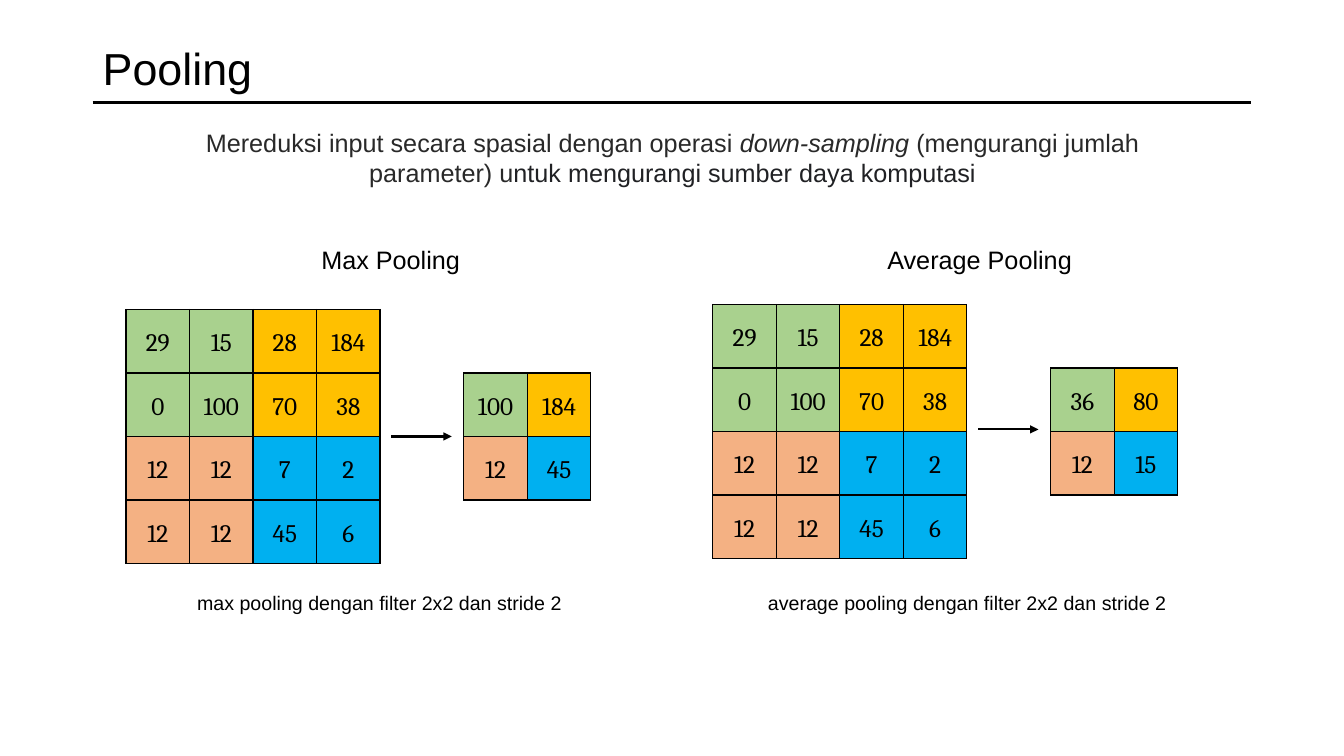
"""Builds a slide that compares max pooling with average pooling."""
from lxml import etree
from pptx import Presentation
from pptx.dml.color import RGBColor
from pptx.enum.shapes import MSO_CONNECTOR
from pptx.enum.text import MSO_ANCHOR, PP_ALIGN
from pptx.oxml.ns import qn
from pptx.util import Inches, Pt

STRAIGHT = MSO_CONNECTOR.STRAIGHT
TOP, MIDDLE = MSO_ANCHOR.TOP, MSO_ANCHOR.MIDDLE
LEFT, CENTER = PP_ALIGN.LEFT, PP_ALIGN.CENTER

WIDTH, HEIGHT = 13.33, 7.5
BLACK = "000000"
TITLE = [("Pooling", False, BLACK)]
SUMMARY = [
    ("Mereduksi input secara spasial dengan operasi\u00a0", False, "292929"),
    ("down-sampling ", True, "292929"),
    ("(mengurangi jumlah parameter) u", False, "292929"),
    ("ntuk mengurangi sumber daya komputasi", False, "202124"),
]
FEATURES = [
    [29, 15, 28, 184],
    [0, 100, 70, 38],
    [12, 12, 7, 2],
    [12, 12, 45, 6],
]
REGION_COLORS = [["A9D18E", "FFC000"], ["F4B183", "00B0F0"]]
STRIDE = 2


def mean(values):
    """Return the whole-number average."""
    return sum(values) // len(values)


POOLINGS = [
    {"heading": "Max Pooling", "heading_box": (3.08, 1.59),
     "caption": "max pooling dengan filter 2x2 dan stride 2",
     "caption_box": (1.85, 3.83),
     "reduce": max, "left": 1.25, "top": 3.07, "arrow_y": 4.33},
    {"heading": "Average Pooling", "heading_box": (8.69, 2.05),
     "caption": "average pooling dengan filter 2x2 dan stride 2",
     "caption_box": (7.51, 4.17),
     "reduce": mean, "left": 7.07, "top": 3.02, "arrow_y": 4.26},
]

CELL = 0.63
GRID = CELL * len(FEATURES)
ARROW_GAP, ARROW_LENGTH = 0.11, 0.6
RESULT_OFFSET = 3.35
MARGIN, RULE_Y = 0.92, 1.02
HEADING_Y, CAPTION_Y = 2.37, 5.81


def rgb(color):
    """Turn a hex string into a colour."""
    return RGBColor.from_string(color)


def add_runs(paragraph, runs, size, font="Arial"):
    """Add (text, italic, colour) runs to a paragraph."""
    for text, italic, color in runs:
        run = paragraph.add_run()
        run.text = text
        run.font.size = Pt(size)
        run.font.name = font
        run.font.italic = italic
        run.font.color.rgb = rgb(color)


def add_text(slide, box, runs, size, align=CENTER, anchor=TOP, wrap=False, spacing=1.0):
    """Add a one-paragraph text box."""
    frame = slide.shapes.add_textbox(*map(Inches, box)).text_frame
    frame.word_wrap = wrap
    frame.vertical_anchor = anchor
    paragraph = frame.paragraphs[0]
    paragraph.alignment = align
    paragraph.line_spacing = spacing
    add_runs(paragraph, runs, size)


def add_line(slide, start, end, y, weight, arrow=False):
    """Draw a level line, with an arrowhead if asked."""
    line = slide.shapes.add_connector(
        STRAIGHT, Inches(start), Inches(y), Inches(end), Inches(y))
    line.line.color.rgb = rgb(BLACK)
    line.line.width = Pt(weight)
    if arrow:
        etree.SubElement(line.line._get_or_add_ln(), qn("a:tailEnd"), type="triangle")
    etree.SubElement(line._element.spPr, qn("a:effectLst"))


def add_borders(cell):
    """Give a cell a thin black border on every side."""
    properties = cell._tc.get_or_add_tcPr()
    for side in ("lnL", "lnR", "lnT", "lnB"):
        border = etree.SubElement(properties, qn(f"a:{side}"), w=str(Pt(1)))
        fill = etree.SubElement(border, qn("a:solidFill"))
        etree.SubElement(fill, qn("a:srgbClr"), val=BLACK)


def add_matrix(slide, left, top, values, region):
    """Add a square table whose colour changes every `region` cells."""
    count = len(values)
    side = Inches(CELL * count)
    table = slide.shapes.add_table(
        count, count, Inches(left), Inches(top), side, side).table
    table.first_row = table.horz_banding = False
    for r, row in enumerate(values):
        table.rows[r].height = table.columns[r].width = Inches(CELL)
        for c, value in enumerate(row):
            cell = table.cell(r, c)
            add_borders(cell)
            cell.fill.solid()
            cell.fill.fore_color.rgb = rgb(REGION_COLORS[r // region][c // region])
            paragraph = cell.text_frame.paragraphs[0]
            paragraph.alignment = CENTER
            paragraph.line_spacing = 1.5
            add_runs(paragraph, [(str(value), False, BLACK)], 18, "Cambria")


def pool(values, reduce):
    """Reduce each stride-sized square to one value."""
    steps = range(0, len(values), STRIDE)
    return [[reduce([v for row in values[r:r + STRIDE] for v in row[c:c + STRIDE]])
             for c in steps] for r in steps]


def add_pooling(slide, pooling):
    """Add one pooling example with its heading and caption."""
    left, top = pooling["left"], pooling["top"]
    add_matrix(slide, left, top, FEATURES, STRIDE)
    add_matrix(slide, left + RESULT_OFFSET, top + CELL,
               pool(FEATURES, pooling["reduce"]), 1)
    start = left + GRID + ARROW_GAP
    add_line(slide, start, start + ARROW_LENGTH, pooling["arrow_y"], 1.5, arrow=True)
    for part, y, height, size in (("heading", HEADING_Y, 0.4, 18),
                                  ("caption", CAPTION_Y, 0.34, 14)):
        x, width = pooling[f"{part}_box"]
        add_text(slide, (x, y, width, height), [(pooling[part], False, BLACK)], size)


def main():
    """Build and save the slide."""
    deck = Presentation()
    deck.slide_width, deck.slide_height = Inches(WIDTH), Inches(HEIGHT)
    slide = deck.slides.add_slide(deck.slide_layouts[6])
    add_line(slide, MARGIN, WIDTH - MARGIN, RULE_Y, 2.25)
    add_text(slide, (MARGIN, 0.4, WIDTH - 2 * MARGIN, 0.6), TITLE, 32,
             LEFT, MIDDLE, wrap=True, spacing=0.9)
    add_text(slide, (1.67, 1.21, 10, 0.71), SUMMARY, 18, wrap=True)
    for pooling in POOLINGS:
        add_pooling(slide, pooling)
    deck.save("out.pptx")


if __name__ == "__main__":
    main()
